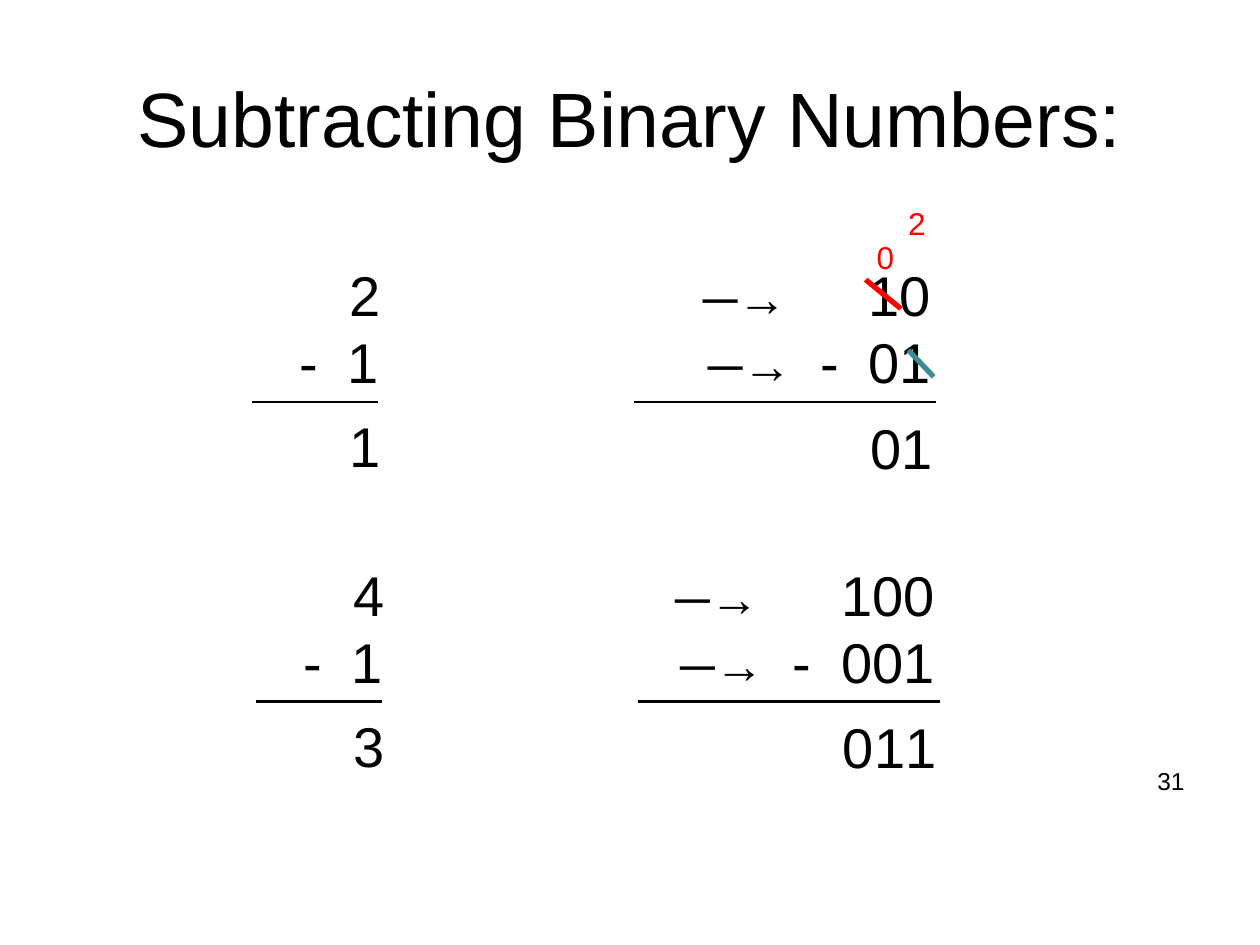
from lxml import etree
from pptx import Presentation
from pptx.dml.color import RGBColor
from pptx.enum.shapes import MSO_CONNECTOR
from pptx.enum.text import MSO_ANCHOR, PP_ALIGN
from pptx.oxml.ns import qn
from pptx.util import Inches, Pt

COLORS = {"ink": "000000", "borrow": "FF0000", "used": "3C8C93"}
FONT = "Arial"
DIGIT_WIDTH = 0.25


def add_text_box(slide, left, top, width, height, wrap=True):
    box = slide.shapes.add_textbox(Inches(left), Inches(top), Inches(width), Inches(height))
    box.text_frame.word_wrap = wrap
    return box.text_frame


def set_font(paragraph, size, color="ink"):
    paragraph.font.name = FONT
    paragraph.font.size = Pt(size)
    paragraph.font.color.rgb = RGBColor.from_string(COLORS[color])


def add_label(slide, text, left, top, width, height, size, color="ink",
              align=PP_ALIGN.LEFT, wrap=False):
    frame = add_text_box(slide, left, top, width, height, wrap)
    paragraph = frame.paragraphs[0]
    paragraph.text = text
    paragraph.alignment = align
    set_font(paragraph, size, color)
    return frame


def set_tabs(paragraph, stops):
    """Set tab stops from (inches, alignment) pairs."""
    tab_list = etree.SubElement(paragraph._p.get_or_add_pPr(), qn("a:tabLst"))
    for position, align in stops:
        etree.SubElement(tab_list, qn("a:tab"), pos=str(Inches(position)), algn=align)


def add_line(slide, x1, y1, x2, y2, color="ink", width=1.5):
    line = slide.shapes.add_connector(
        MSO_CONNECTOR.STRAIGHT, Inches(x1), Inches(y1), Inches(x2), Inches(y2))
    line.line.color.rgb = RGBColor.from_string(COLORS[color])
    line.line.width = Pt(width)
    etree.SubElement(line._element.spPr, qn("a:effectLst"))


def add_decimal_sum(slide, left, top, minuend, subtrahend, difference):
    frame = add_text_box(slide, left + 0.28, top, 0.84, 1.84)
    for index, text in enumerate([minuend, f"-\t{subtrahend}", difference]):
        paragraph = frame.paragraphs[0] if index == 0 else frame.add_paragraph()
        paragraph.text = text
        if "\t" in text:
            set_tabs(paragraph, [(0.63, "r")])
        else:
            paragraph.alignment = PP_ALIGN.RIGHT
        set_font(paragraph, 32)
    frame.paragraphs[-1].line_spacing = 1.25
    add_line(slide, left, top + 1.17, left + 1, top + 1.17)


def add_binary_sum(slide, left, top, minuend, subtrahend, difference):
    frame = add_text_box(slide, left, top, 4.08, 1.17)
    shift = DIGIT_WIDTH * (len(minuend) - 2)
    number_stop = (3.87, "r")
    rows = [
        (f"\t{minuend}", [(2.06 - shift, "l"), number_stop]),
        (f"\t-\t{subtrahend}", [(2.1 - shift, "l"), (2.99 - shift, "l"), number_stop]),
    ]
    for index, (text, stops) in enumerate(rows):
        paragraph = frame.paragraphs[0] if index == 0 else frame.add_paragraph()
        set_tabs(paragraph, stops)
        set_font(paragraph, 32)
        arrow = paragraph.add_run()
        arrow.text = "\t─→"
        arrow.font.size = Pt(28)
        paragraph.add_run().text = text
    add_line(slide, left + 1.61, top + 1.17, left + 4.01, top + 1.17)
    for place, digit in enumerate(reversed(difference)):
        add_label(slide, digit, left + 3.64 - DIGIT_WIDTH * place, top + 1.21, 0.45, 0.64, 32)


def add_borrow_marks(slide, left, top):
    """Add the borrowed digits and the strokes through the used ones."""
    add_label(slide, "0", left, top + 0.27, 0.34, 0.4, 18, "borrow")
    add_label(slide, "2", left + 0.25, top, 0.34, 0.4, 18, "borrow")
    add_line(slide, left + 0.35, top + 1.21, left + 0.55, top + 1.42, "used", 3)
    add_line(slide, left + 0.01, top + 0.65, left + 0.29, top + 0.88, "borrow", 3)


def main():
    presentation = Presentation()
    presentation.slide_width, presentation.slide_height = Inches(10), Inches(7.5)
    slide = presentation.slides.add_slide(presentation.slide_layouts[6])

    title = add_label(slide, "Subtracting Binary Numbers:", 0.5, 0.3, 9, 1.25, 44,
                      align=PP_ALIGN.CENTER, wrap=True)
    title.vertical_anchor = MSO_ANCHOR.MIDDLE
    add_label(slide, "31", 7.17, 6.03, 2.33, 0.52, 14, align=PP_ALIGN.RIGHT, wrap=True)

    problems = [
        (2, 2.02, ("2", "1", "1"), ("10", "01", "01")),
        (2.03, 4.4, ("4", "1", "3"), ("100", "001", "011")),
    ]
    for left, top, decimal, binary in problems:
        add_decimal_sum(slide, left, top, *decimal)
        add_binary_sum(slide, left + 1.42, top, *binary)
    add_borrow_marks(slide, 6.86, 1.57)

    presentation.save("out.pptx")


if __name__ == "__main__":
    main()
